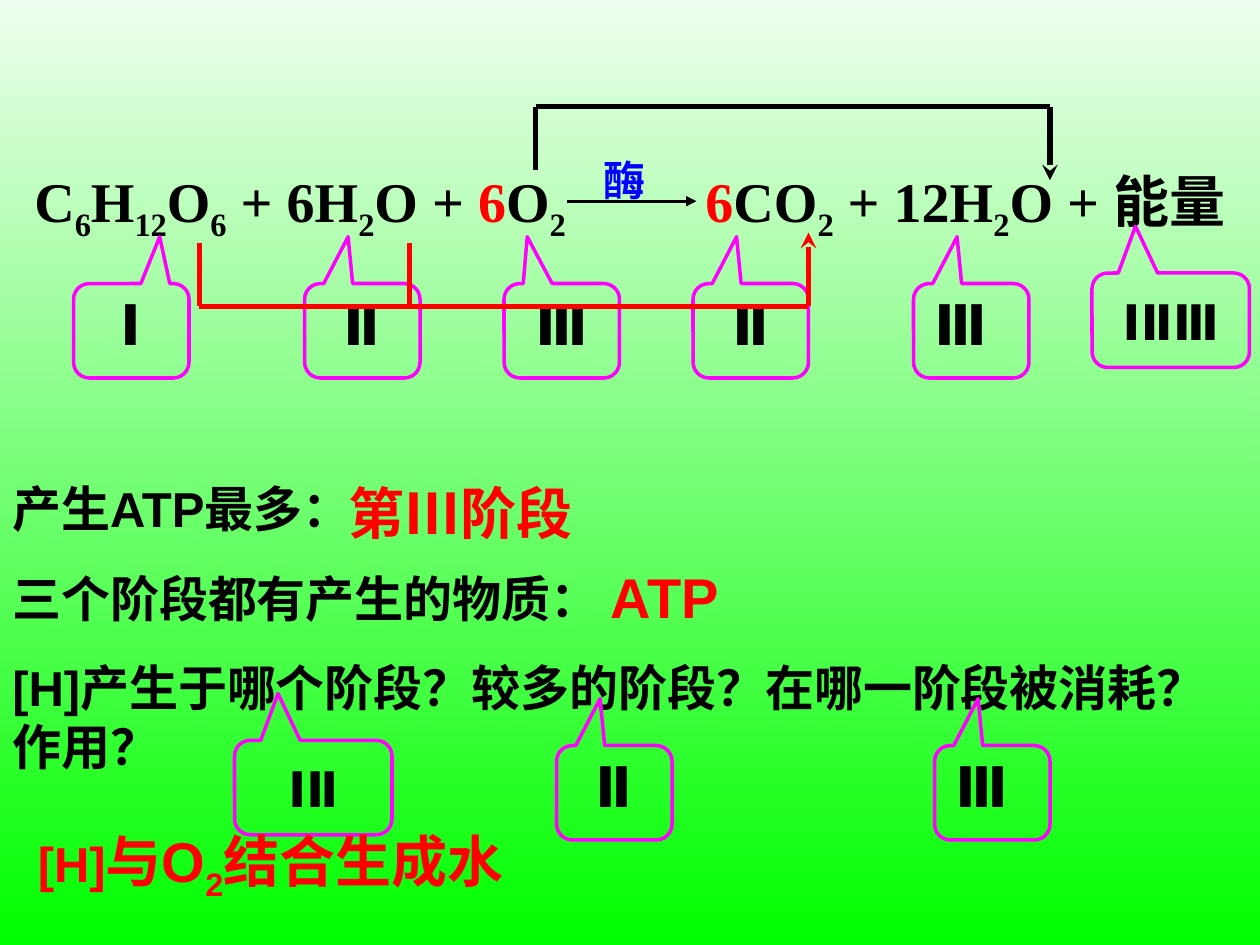
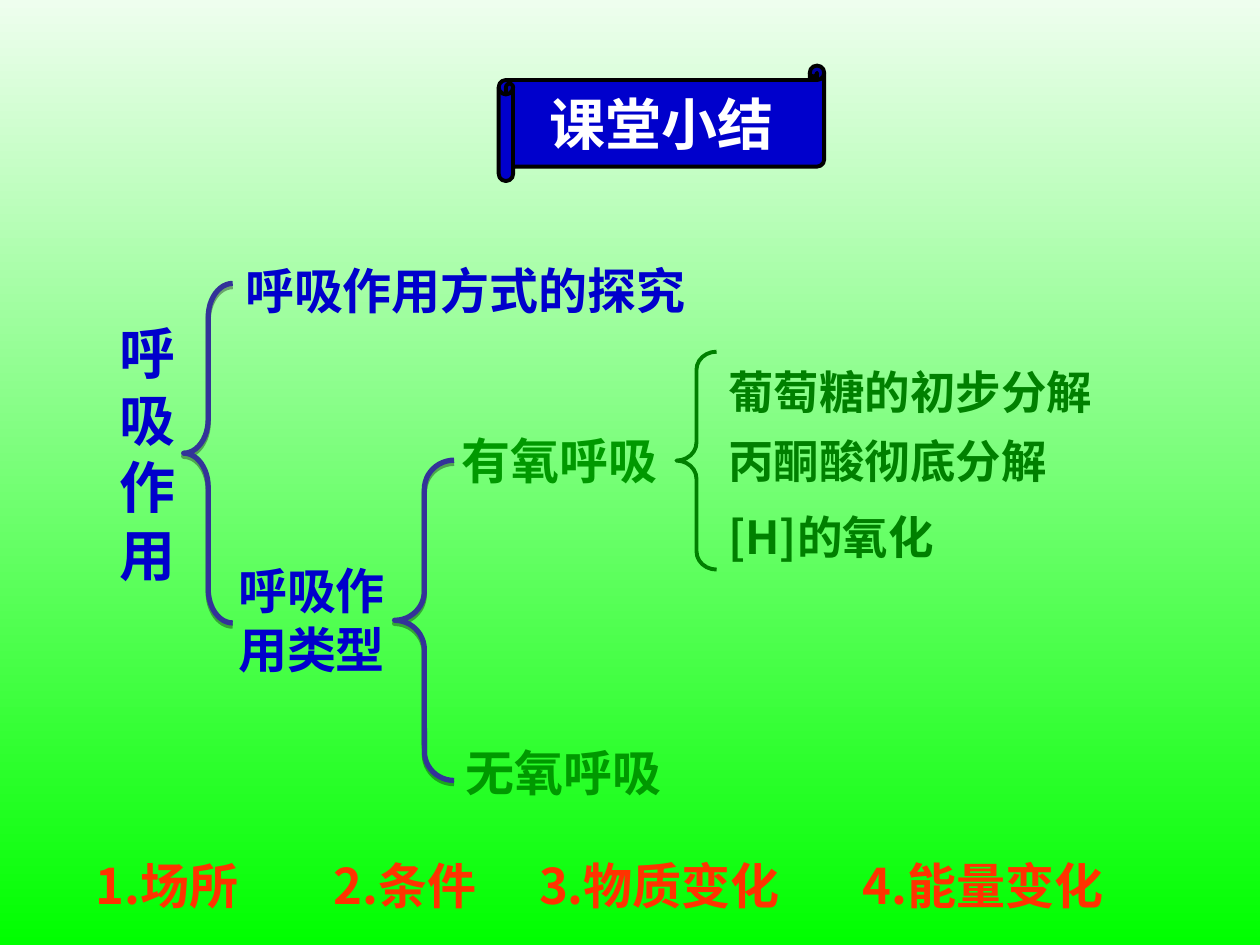
"""Two slides on cellular respiration: the overall equation and a lesson summary."""
import lxml.etree
import pptx
import pptx.dml.color
import pptx.enum.shapes
import pptx.enum.text
import pptx.oxml.ns
import pptx.util

Pt = pptx.util.Pt
SHAPE = pptx.enum.shapes.MSO_SHAPE
qn = pptx.oxml.ns.qn
ARIAL, TIMES, NOTO = "Arial", "Times New Roman", "Noto Sans CJK SC"
COLORS = {
    "sky": "EEFEEE", "grass": "00FF00", "black": "000000", "white": "FFFFFF",
    "red": "FF0000", "enzyme": "0000FF", "callout": "FF00FF", "navy": "0000CC",
    "brace": "333399", "branch": "009900", "leaf": "008000", "point": "FF3300",
}


def rgb(color):
    """Return the named colour."""
    return pptx.dml.color.RGBColor.from_string(COLORS[color])


def paint_background(master):
    """Give all slides the vertical gradient."""
    fill = master.background.fill
    fill.gradient()
    fill.gradient_angle = 270
    for stop, color in zip(fill.gradient_stops, ("sky", "grass")):
        stop.color.rgb = rgb(color)


def add_text(slide, box, paragraphs, size=28, color="black", font=ARIAL,
             centered=False, space_before=0):
    """Add bold text; a paragraph is a string or a list of (text, run options)."""
    frame = slide.shapes.add_textbox(*map(Pt, box)).text_frame
    frame.word_wrap = True
    frame.auto_size = pptx.enum.text.MSO_AUTO_SIZE.SHAPE_TO_FIT_TEXT
    for index, content in enumerate(paragraphs):
        paragraph = frame.add_paragraph() if index else frame.paragraphs[0]
        paragraph.font.size, paragraph.font.name = Pt(size), font
        paragraph.font.bold = True
        paragraph.font.color.rgb = rgb(color)
        if centered:
            paragraph.alignment = pptx.enum.text.PP_ALIGN.CENTER
        if index:
            paragraph.space_before = Pt(space_before)
        for text, options in [(content, {})] if isinstance(content, str) else content:
            run = paragraph.add_run()
            run.text = text
            if "color" in options:
                run.font.color.rgb = rgb(options["color"])
            if "size" in options:
                run.font.size = Pt(options["size"])
            if "baseline" in options:
                run.font._element.set("baseline", options["baseline"])
    return frame


def add_tab_stop(paragraph, position):
    """Set one left tab stop."""
    stops = lxml.etree.Element(qn("a:tabLst"))
    lxml.etree.SubElement(stops, qn("a:tab"), pos=str(Pt(position)), algn="l")
    properties = paragraph._p.get_or_add_pPr()
    properties.insert(0, stops)


def add_shape(slide, kind, box, line_color, line_width, adjustments, fill=None):
    """Add an outlined preset shape without shadow."""
    shape = slide.shapes.add_shape(kind, *map(Pt, box))
    shape.shadow.inherit = False
    for index, value in enumerate(adjustments):
        shape.adjustments[index] = value
    if fill:
        shape.fill.solid()
        shape.fill.fore_color.rgb = rgb(fill)
    else:
        shape.fill.background()
    shape.line.color.rgb = rgb(line_color)
    shape.line.width = Pt(line_width)
    return shape


def add_callout(slide, left, top, stage, tip, label_shift=-18, wide=False):
    """Add an upward-pointing callout labelled with its respiration stage."""
    width, label_width, label_drop, size = (90, 114, 7, 28) if wide else (66, 102, 0, 32)
    bubble = add_shape(slide, SHAPE.ROUNDED_RECTANGULAR_CALLOUT, (left, top, width, 54),
                       "callout", 2, (tip, 0.995, 0.167))
    bubble.rotation = 180
    add_text(slide, (left + label_shift, top + label_drop, label_width, 46), [stage],
             size, centered=True)


def add_line(slide, start, end, color, width=3, arrow=None):
    """Add a straight line, with an arrowhead at its end if given."""
    line = slide.shapes.add_connector(pptx.enum.shapes.MSO_CONNECTOR.STRAIGHT,
                                      *map(Pt, start + end))
    line.line.color.rgb = rgb(color)
    line.line.width = Pt(width)
    if arrow:
        lxml.etree.SubElement(line.line._get_or_add_ln(), qn("a:tailEnd"), type=arrow)
    lxml.etree.SubElement(line._element.spPr, qn("a:effectLst"))


def add_path(slide, points, color):
    """Join points by lines, ending in a stealth arrowhead."""
    for start, end in zip(points, points[1:]):
        add_line(slide, start, end, color, arrow="stealth" if end == points[-1] else None)


def add_brace(slide, box, color, width, curve, shadowed=False):
    """Add a left brace, optionally with a faint shadow below."""
    brace = add_shape(slide, SHAPE.LEFT_BRACE, box, color, width, (curve, 0.5))
    if shadowed:
        effects = brace._element.spPr.find(qn("a:effectLst"))
        shadow = lxml.etree.SubElement(effects, qn("a:outerShdw"), blurRad="0",
                                       dist=str(Pt(1.8)), dir="5400000", rotWithShape="0")
        shade = lxml.etree.SubElement(shadow, qn("a:srgbClr"), val=COLORS["black"])
        lxml.etree.SubElement(shade, qn("a:alpha"), val="35000")


def build_equation(slide):
    """Show the equation, the stages of its substances and three questions."""
    sub, red = {"baseline": "-25000"}, {"color": "red"}
    equation = [("C", {}), ("6", sub), ("H", {}), ("12", sub), ("O", {}), ("6", sub),
                (" + 6H", {}), ("2", sub), ("O + ", {}), ("6", red), ("O", {}),
                ("2", sub), ("\t", {}), ("6", red), ("CO", {}), ("2", sub),
                (" + 12H", {}), ("2", sub), ("O + 能量", {})]
    frame = add_text(slide, (12.5, 91.5, 710, 51), [equation], 32, font=TIMES)
    add_tab_stop(frame.paragraphs[0], 383.5)
    add_line(slide, (324, 115), (398, 115), "black", 1.5, "triangle")
    add_text(slide, (338, 85, 40, 36), ["酶"], 24, "enzyme", TIMES)

    for left, stage, tip, shift in ((42, "Ⅰ", -0.246, -18), (174, "Ⅱ", 0.123, -18),
                                    (288, "Ⅲ", 0.299, -18), (396, "Ⅱ", 0.123, -18),
                                    (522, "Ⅲ", 0.123, -24)):
        add_callout(slide, left, 162, stage, tip, shift)
    add_callout(slide, 624, 156, "ⅠⅡⅢ", 0.224, -12, wide=True)

    add_path(slide, [(114, 139), (114, 175), (462, 175), (462, 133)], "red")
    add_line(slide, (234, 139), (234, 175), "red")
    add_path(slide, [(306, 97), (306, 61), (600, 61), (600, 103)], "black")

    add_text(slide, (0, 270, 720, 177),
             ["产生ATP最多：", "三个阶段都有产生的物质：",
              "[H]产生于哪个阶段？较多的阶段？在哪一阶段被消耗？作用？"], space_before=17.5)
    add_text(slide, (192, 270, 168, 46), ["第Ⅲ阶段"], 32, "red")
    add_text(slide, (342, 318, 168, 46), ["ATP"], 32, "red")
    add_callout(slide, 134, 423, "ⅠⅡ", 0.224, -12, wide=True)
    add_callout(slide, 318, 426, "Ⅱ", 0.123)
    add_callout(slide, 534, 426, "Ⅲ", 0.123, -24)
    add_text(slide, (14.5, 469, 312, 51),
             [[("[H]", {"size": 28}), ("与O", {}), ("2", sub), ("结合生成水", {})]],
             32, "red")


def build_summary(slide):
    """Show the lesson summary as a tree of braces."""
    add_shape(slide, SHAPE.HORIZONTAL_SCROLL, (285, 37.5, 186, 66), "black", 2.25,
              (0.125,), fill="navy")
    add_text(slide, (296, 47.5, 164, 46), ["课堂小结"], 32, "white", centered=True)

    add_text(slide, (61, 178.5, 57, 161), list("呼吸作用"), 32, "navy", TIMES)
    add_text(slide, (133, 145.5, 329, 41), ["呼吸作用方式的探究"], 28, "navy", TIMES)
    add_text(slide, (129, 317, 119, 75), ["呼吸作用类型"], 28, "navy", TIMES)
    for left, top, kind in ((256.5, 242.5, "有氧呼吸"), (259, 420.5, "无氧呼吸")):
        add_text(slide, (left, top, 153, 41), [kind], 28, "branch", NOTO)
    for top, step in ((204.5, "葡萄糖的初步分解"), (244, "丙酮酸彻底分解"),
                      (287.5, "[H]的氧化")):
        add_text(slide, (409, top, 282, 39), [step], 26, "leaf", NOTO)

    add_brace(slide, (105, 162, 28, 194), "brace", 3, 0.69, shadowed=True)
    add_brace(slide, (225.5, 263, 34, 183), "brace", 3, 0.49, shadowed=True)
    add_brace(slide, (386.5, 201, 23, 124.5), "leaf", 2.25, 0.45)

    aspects = (("场所", 47.5), ("条件", 183.5), ("物质变化", 301), ("能量变化", 486))
    for number, (aspect, left) in enumerate(aspects, 1):
        add_text(slide, (left, 485.5, 220, 41), [f"{number}.{aspect}"], 28, "point", NOTO)


def main():
    """Build and save both slides."""
    deck = pptx.Presentation()
    deck.slide_width, deck.slide_height = Pt(720), Pt(540)
    paint_background(deck.slide_master)
    for build in (build_equation, build_summary):
        build(deck.slides.add_slide(deck.slide_layouts[6]))
    deck.save("out.pptx")


if __name__ == "__main__":
    main()
